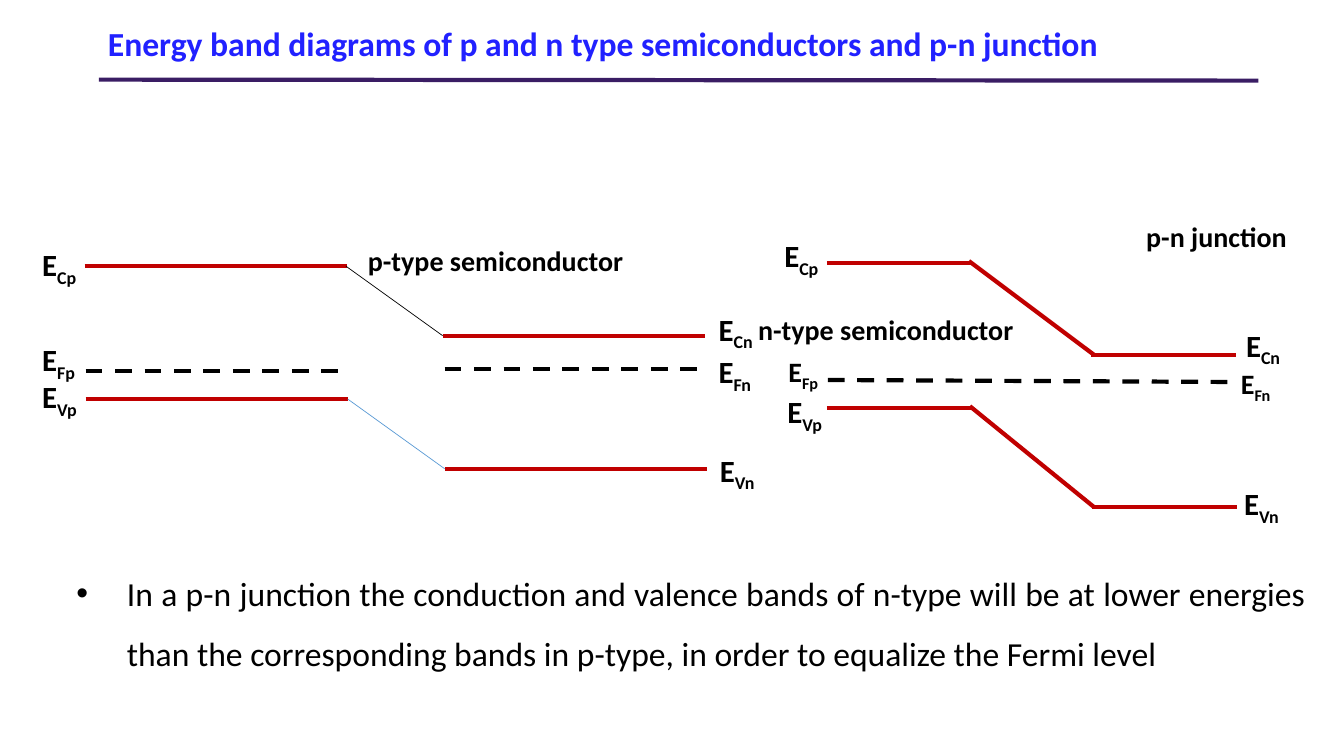
from lxml import etree
from pptx import Presentation
from pptx.dml.color import RGBColor
from pptx.enum.dml import MSO_LINE
from pptx.enum.shapes import MSO_CONNECTOR
from pptx.enum.text import MSO_ANCHOR, PP_ALIGN
from pptx.oxml.ns import qn
from pptx.util import Cm, Pt

STRAIGHT = MSO_CONNECTOR.STRAIGHT
DASH = MSO_LINE.DASH
FONT = "Calibri"
BLACK, RED, BLUE = "000000", "C00000", "5B9BD5"
TITLE_BLUE, RULE_PURPLE = "2121FF", "3A1D64"

# All positions below are in inches.
TITLE = "Energy band diagrams of p and n type semiconductors and p-n junction"
CONCLUSION = (
    "In a p-n junction the conduction and valence bands of n-type will be at lower "
    "energies than the corresponding bands in p-type, in order to equalize the Fermi level"
)
TITLE_RULE = (0.98, 0.79, 12.48, 0.8)
BAND_WIDTH = 2.6
JUNCTION_BAND_WIDTH = 1.44
SEPARATE_BANDS = [(0.84, 2.64), (0.85, 3.96), (4.39, 3.33), (4.41, 4.65)]
JUNCTION_BANDS = [(8.2, 2.61), (8.2, 4.05), (10.82, 3.52), (10.83, 5.03)]
JUNCTION_SLOPES = [(9.61, 2.59, 10.85, 3.52), (9.62, 4.03, 10.85, 5.03)]
FERMI_LEVELS = [(0.85, 3.68, 3.45, 3.68), (4.41, 3.66, 7, 3.66), (8.21, 3.77, 12.29, 3.79)]
BAND_LINKS = [((3.43, 2.64, 4.39, 3.33), BLACK), ((3.45, 3.96, 4.41, 4.65), BLUE)]
# subscript, left, top, size
LEVEL_LABELS = [
    ("Cp", 0.32, 2.39, 22), ("Fp", 0.32, 3.33, 22), ("Vp", 0.32, 3.7, 22),
    ("Cn", 7.03, 3.03, 22), ("Fn", 7.03, 3.45, 22), ("Vn", 7.04, 4.43, 22),
    ("Cp", 7.68, 2.3, 22), ("Fp", 7.72, 3.47, 20), ("Vp", 7.71, 3.85, 22),
    ("Cn", 12.26, 3.19, 22), ("Fn", 12.21, 3.59, 20), ("Vn", 12.24, 4.76, 22),
]
# text, left, top, width
CAPTIONS = [
    ("p-type semiconductor", 3.55, 2.37, 2.78),
    ("n-type semiconductor", 7.42, 3.05, 2.99),
    ("p-n junction", 11.27, 2.13, 1.67),
]


def inches(value):
    return Cm(value * 2.54)


def color(hex_value):
    return RGBColor.from_string(hex_value)


def set_font(paragraph, size, hex_value=BLACK, bold=True):
    font = paragraph.font
    font.name, font.size, font.bold = FONT, Pt(size), bold
    font.color.rgb = color(hex_value)


def add_line(slide, ends, hex_value, width=3, dash=None):
    line = slide.shapes.add_connector(STRAIGHT, *map(inches, ends))
    line.line.color.rgb = color(hex_value)
    line.line.width = Pt(width)
    if dash:
        line.line.dash_style = dash
    etree.SubElement(line._element.spPr, qn("a:effectLst"))


def add_text(slide, left, top, width, height, text):
    """Add a wrapping text box and return its first paragraph."""
    box = slide.shapes.add_textbox(*map(inches, (left, top, width, height)))
    box.text_frame.word_wrap = True
    paragraph = box.text_frame.paragraphs[0]
    paragraph.add_run().text = text
    return paragraph


def add_level_label(slide, subscript, left, top, size):
    paragraph = add_text(slide, left, top, 0.68, 0.47, "E")
    run = paragraph.add_run()
    run.text = subscript
    run.font._element.set("baseline", "-25000")
    set_font(paragraph, size)


def add_bullet(paragraph):
    properties = paragraph._p.get_or_add_pPr()
    properties.set("marL", str(inches(0.5)))
    properties.set("indent", str(-inches(0.5)))
    etree.SubElement(properties, qn("a:buFont")).set("typeface", "Arial")
    etree.SubElement(properties, qn("a:buChar")).set("char", "•")


def add_title(slide):
    title = slide.shapes.title
    title.left, title.top, title.width, title.height = map(inches, (0.97, 0.1, 10.18, 0.7))
    title.text_frame.text = TITLE
    title.text_frame.vertical_anchor = MSO_ANCHOR.MIDDLE
    paragraph = title.text_frame.paragraphs[0]
    paragraph.alignment = PP_ALIGN.LEFT
    paragraph.line_spacing = 0.9
    set_font(paragraph, 24, TITLE_BLUE)


def main():
    presentation = Presentation()
    presentation.slide_width, presentation.slide_height = inches(13.33), inches(7.5)
    slide = presentation.slides.add_slide(presentation.slide_layouts[5])

    add_line(slide, TITLE_RULE, RULE_PURPLE)
    add_title(slide)

    for bands, width in ((SEPARATE_BANDS, BAND_WIDTH), (JUNCTION_BANDS, JUNCTION_BAND_WIDTH)):
        for left, top in bands:
            add_line(slide, (left, top, left + width, top), RED)
    for slope in JUNCTION_SLOPES:
        add_line(slide, slope, RED)
    for level in FERMI_LEVELS:
        add_line(slide, level, BLACK, dash=DASH)
    for link, hex_value in BAND_LINKS:
        add_line(slide, link, hex_value, width=0.5)

    for label in LEVEL_LABELS:
        add_level_label(slide, *label)
    for text, left, top, width in CAPTIONS:
        set_font(add_text(slide, left, top, width, 0.44, text), 20)

    conclusion = add_text(slide, 0.66, 5.43, 12.39, 1.25, CONCLUSION)
    add_bullet(conclusion)
    conclusion.alignment = PP_ALIGN.JUSTIFY
    conclusion.line_spacing = 1.5
    set_font(conclusion, 24, bold=False)

    presentation.save("out.pptx")


if __name__ == "__main__":
    main()
